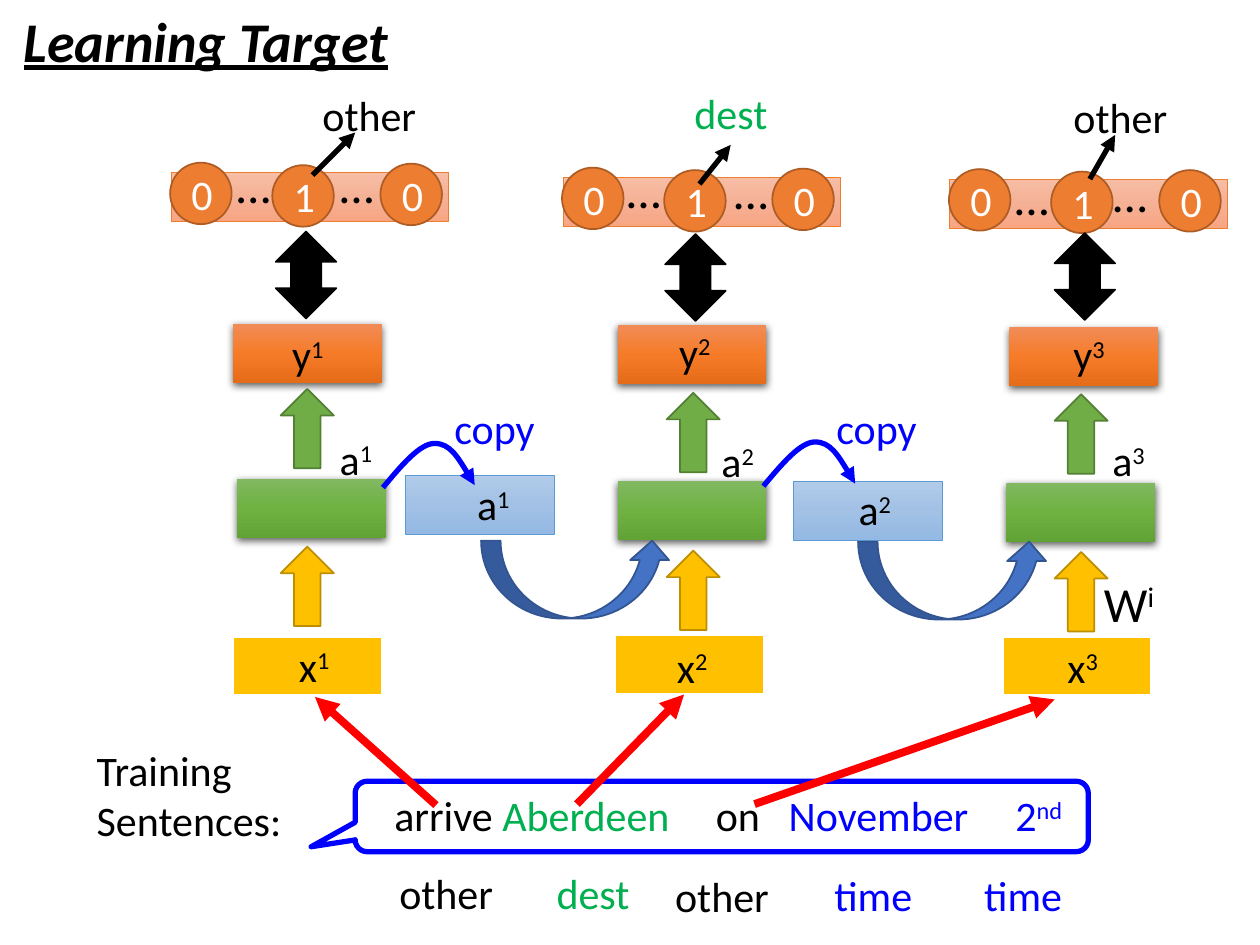
from dataclasses import dataclass
from typing import NamedTuple

from lxml.etree import SubElement
from pptx import Presentation
from pptx.dml.color import RGBColor
from pptx.enum.shapes import MSO_CONNECTOR, MSO_SHAPE
from pptx.enum.text import MSO_ANCHOR, PP_ALIGN
from pptx.oxml.ns import qn
from pptx.util import Cm, Pt

BLACK, WHITE, BLUE, GREEN, RED = "000000", "FFFFFF", "0000FF", "00B050", "FF0000"
YELLOW, ORANGE = "FFC000", "ED7D31"
HIDDEN_FILL = ("81B861", "6FB242", "62A336")
OUTPUT_FILL = ("F18C57", "F67B28", "E56C19")
MEMORY_FILL = ("B1CBE9", "A3C1E5", "93B9E4")
VECTOR_FILL = ("F7BDA5", "F5B196", "F8A582")
LAYER = (3, 1.19)
LABEL = (2.51, 1.27)
WORD = (2.59, 1.27)
COPY_CURVE = ((0.36, -0.43), (0.74, -0.89), (1.04, -0.89),
              (1.35, -0.89), (1.6, -0.48), (1.85, -0.05))


class Point(NamedTuple):
    x: float
    y: float


class Piece(NamedTuple):
    text: str
    color: str = ""
    raised: bool = False


@dataclass
class Step:
    index: str
    target: str
    color: str
    target_at: Point
    pointer: tuple[Point, Point]
    vector: Point
    dots: tuple[Point, Point]
    match: Point
    output: Point
    output_label: Point
    hidden: Point
    hidden_label: Point
    hidden_label_width: float
    input: Point
    input_label: Point
    input_arrow: Point


@dataclass
class Memory:
    index: str
    box: Point
    label: Point
    curve: Point
    copy: Point
    feed: Point


STEPS = (
    Step("1", "other", BLACK, Point(6.15, 1.68), (Point(6.3, 3.53), Point(7.16, 2.67)),
         Point(3.45, 3.48), (Point(4.5, 3), Point(6.58, 3)), Point(5.56, 4.67),
         Point(4.7, 6.53), Point(4.95, 6.5), Point(4.78, 9.65), Point(5.92, 8.61), 2.51,
         Point(4.7, 12.83), Point(5.08, 12.78), Point(5.66, 11.02)),
    Step("2", "dest", GREEN, Point(13.44, 1.63), (Point(14.1, 3.71), Point(14.73, 2.92)),
         Point(11.35, 3.58), (Point(12.37, 3.1), Point(14.53, 3.12)), Point(13.41, 4.72),
         Point(12.45, 6.55), Point(12.75, 6.45), Point(12.45, 9.7), Point(14.07, 8.66), 1.6,
         Point(12.4, 12.8), Point(12.7, 12.8), Point(13.44, 11.1)),
    Step("3", "other", BLACK, Point(21.29, 1.73), (Point(21.97, 3.61), Point(22.48, 2.72)),
         Point(19.15, 3.61), (Point(20.19, 3.23), Point(22.17, 3.18)), Point(21.26, 4.7),
         Point(20.35, 6.6), Point(20.7, 6.5), Point(20.29, 9.73), Point(21.95, 8.64), 1.6,
         Point(20.22, 12.83), Point(20.57, 12.8), Point(21.26, 11.13)),
)
MEMORIES = (
    Memory("1", Point(8.18, 9.58), Point(8.69, 9.53), Point(7.72, 9.83),
           Point(8.51, 7.98), Point(9.7, 10.9)),
    Memory("2", Point(16, 9.7), Point(16.38, 9.63), Point(15.39, 9.8),
           Point(16.21, 7.98), Point(17.3, 10.92)),
)
WORD_ARROWS = (
    (Point(8.79, 16.23), Point(6.35, 14.05)),
    (Point(11.63, 16.21), Point(13.79, 14)),
    (Point(15.21, 16.21), Point(21.26, 14.1)),
)
SLOTS = (
    ("other", BLACK, Point(7.7, 17.37)),
    ("dest", GREEN, Point(10.66, 17.37)),
    ("other", BLACK, Point(13.26, 17.42)),
    ("time", BLUE, Point(16.31, 17.4)),
    ("time", BLUE, Point(19.33, 17.4)),
)


def rgb(value: str) -> RGBColor:
    return RGBColor.from_string(value)


def set_line(sp, color: str, width: float) -> None:
    if color:
        sp.line.color.rgb = rgb(color)
        sp.line.width = Pt(width)
    else:
        sp.line.fill.background()


def set_fill(sp, fill: str | tuple) -> None:
    if not fill:
        sp.fill.background()
    elif isinstance(fill, str):
        sp.fill.solid()
        sp.fill.fore_color.rgb = rgb(fill)
    else:
        sp.fill.gradient()
        sp.fill.gradient_angle = 270
        stops = sp._element.spPr.find(".//" + qn("a:gsLst"))
        stops.clear()
        for i, color in enumerate(fill):
            stop = SubElement(stops, qn("a:gs"), pos=str(i * 50000))
            SubElement(stop, qn("a:srgbClr"), val=color)


def add_shape(shapes, kind, at: Point, size, fill, line="", width=1.0):
    sp = shapes.add_shape(kind, *map(Cm, (*at, *size)))
    sp.shadow.inherit = False
    set_fill(sp, fill)
    set_line(sp, line, width)
    return sp


def add_raised_box(shapes, at: Point, fill: tuple) -> None:
    sp = add_shape(shapes, MSO_SHAPE.RECTANGLE, at, LAYER, fill)
    effects = sp._element.spPr.find(qn("a:effectLst"))
    shadow = SubElement(effects, qn("a:outerShdw"), blurRad="57150", dist="19050",
                        dir="5400000", rotWithShape="0")
    color = SubElement(shadow, qn("a:srgbClr"), val=BLACK)
    SubElement(color, qn("a:alpha"), val="63000")


def write(p, pieces, color=BLACK, size=24, align=PP_ALIGN.CENTER) -> None:
    p.alignment = align
    p.font.name = "Calibri"
    p.font.size = Pt(size)
    p.font.color.rgb = rgb(color)
    for piece in pieces:
        r = p.add_run()
        r.text = piece.text
        if piece.color:
            r.font.color.rgb = rgb(piece.color)
        if piece.raised:
            r._r.get_or_add_rPr().set("baseline", "30000")


def add_box(shapes, at: Point, size):
    tf = shapes.add_textbox(*map(Cm, (*at, *size))).text_frame
    tf.word_wrap = True
    return tf


def add_label(shapes, at: Point, box, text: str, raised="", color=BLACK, size=24) -> None:
    pieces = [Piece(text)] + ([Piece(raised, raised=True)] if raised else [])
    write(add_box(shapes, at, box).paragraphs[0], pieces, color, size)


def add_head(sp) -> None:
    SubElement(sp.line._get_or_add_ln(), qn("a:tailEnd"), type="triangle")


def add_arrow(shapes, start: Point, end: Point, color: str, width: float) -> None:
    s = shapes.add_connector(MSO_CONNECTOR.STRAIGHT, *map(Cm, (*start, *end)))
    set_line(s, color, width)
    add_head(s)
    SubElement(s._element.spPr, qn("a:effectLst"))


def add_copy_curve(shapes, at: Point) -> None:
    builder = shapes.build_freeform(Cm(at.x), Cm(at.y))
    builder.add_line_segments([(Cm(at.x + x), Cm(at.y + y)) for x, y in COPY_CURVE], close=False)
    sp = builder.convert_to_shape()
    sp.shadow.inherit = False
    sp.fill.background()
    set_line(sp, BLUE, 3)
    add_head(sp)
    path = sp._element.spPr.find(".//" + qn("a:path"))
    segments = path.findall(qn("a:lnTo"))
    for first in range(0, len(segments), 3):
        curve = SubElement(path, qn("a:cubicBezTo"))
        for segment in segments[first:first + 3]:
            curve.append(segment[0])
            path.remove(segment)


def add_vector(shapes, at: Point) -> None:
    group = shapes.add_group_shape().shapes
    add_shape(group, MSO_SHAPE.RECTANGLE, at, (5.59, 0.99), VECTOR_FILL, ORANGE, 0.5)
    for digit, dx, dy in (("1", 2.04, -0.15), ("0", -0.02, -0.2), ("0", 4.22, -0.18)):
        sp = add_shape(group, MSO_SHAPE.OVAL, Point(at.x + dx, at.y + dy),
                       (1.24, 1.24), ORANGE, "AF5C24")
        sp.text_frame.vertical_anchor = MSO_ANCHOR.MIDDLE
        write(sp.text_frame.paragraphs[0], [Piece(digit)], WHITE)


def add_step(shapes, step: Step) -> None:
    add_shape(shapes, MSO_SHAPE.RECTANGLE, step.input, LAYER, YELLOW, WHITE, 1.5)
    add_raised_box(shapes, step.hidden, HIDDEN_FILL)
    add_raised_box(shapes, step.output, OUTPUT_FILL)
    lower = step.input_arrow
    upper = Point(lower.x, lower.y - 3.18)
    add_shape(shapes, MSO_SHAPE.UP_ARROW, lower, (1.07, 1.6), YELLOW, "BD8E00")
    add_shape(shapes, MSO_SHAPE.UP_ARROW, upper, (1.07, 1.6), "70AD47", "538035")
    add_label(shapes, step.input_label, LABEL, "x", step.index)
    add_label(shapes, step.output_label, LABEL, "y", step.index)
    add_label(shapes, step.hidden_label, (step.hidden_label_width, 1.27), "a", step.index)
    add_vector(shapes, step.vector)
    add_shape(shapes, MSO_SHAPE.UP_DOWN_ARROW, step.match, (1.22, 1.75), BLACK, BLACK)
    add_label(shapes, step.target_at, WORD, step.target, color=step.color)
    add_arrow(shapes, *step.pointer, BLACK, 3)
    for at in step.dots:
        add_label(shapes, at, (1.22, 1.45), "…", size=28)


def add_memory(shapes, memory: Memory) -> None:
    add_shape(shapes, MSO_SHAPE.RECTANGLE, memory.box, LAYER, MEMORY_FILL, "5B9BD5", 0.5)
    add_label(shapes, memory.copy, (2.92, 1.27), "copy", color=BLUE)
    add_copy_curve(shapes, memory.curve)
    add_shape(shapes, MSO_SHAPE.CURVED_UP_ARROW, memory.feed, (3.84, 1.57), "4472C4", "325491")
    add_label(shapes, memory.label, LABEL, "a", memory.index)


def add_sentence(shapes) -> None:
    tf = add_box(shapes, Point(6.43, 15.8), (15.52, 1.27))
    tf.margin_left = Cm(1.52)
    p = tf.paragraphs[0]
    tabs = SubElement(p._p.get_or_add_pPr(), qn("a:tabLst"))
    for stop in (6.48, 7.95, 12.52):
        SubElement(tabs, qn("a:tab"), pos=str(Cm(stop)), algn="l")
    write(p, (Piece("arrive "), Piece("Aberdeen\t", GREEN), Piece("on\t"),
              Piece("November\t2", BLUE), Piece("nd", BLUE, True)), align=PP_ALIGN.LEFT)
    sp = add_shape(shapes, MSO_SHAPE.ROUNDED_RECTANGULAR_CALLOUT, Point(7.16, 15.75),
                   (14.78, 1.42), "", BLUE, 3)
    for i, value in enumerate((-0.56, 0.43, 0.17)):
        sp.adjustments[i] = value


def main() -> None:
    prs = Presentation()
    prs.slide_width, prs.slide_height = Cm(25.4), Cm(19.05)
    shapes = prs.slides.add_slide(prs.slide_layouts[6]).shapes

    tf = add_box(shapes, Point(0.23, 0), (7.92, 1.63))
    tf.word_wrap = False
    p = tf.paragraphs[0]
    write(p, [Piece("Learning Target")], size=32, align=PP_ALIGN.LEFT)
    p.font.bold = p.font.italic = p.font.underline = True

    for step in STEPS:
        add_step(shapes, step)
    for memory in MEMORIES:
        add_memory(shapes, memory)
    add_label(shapes, Point(21.87, 11.43), (1.78, 1.45), "W", "i", size=28)

    tf = add_box(shapes, Point(1.7, 14.88), (5.03, 2.31))
    write(tf.paragraphs[0], [Piece("Training")], align=PP_ALIGN.LEFT)
    write(tf.add_paragraph(), [Piece("Sentences:")], align=PP_ALIGN.LEFT)
    add_sentence(shapes)
    for start, end in WORD_ARROWS:
        add_arrow(shapes, start, end, RED, 4.5)
    for text, color, at in SLOTS:
        add_label(shapes, at, WORD, text, color=color)

    prs.save("out.pptx")


if __name__ == "__main__":
    main()
